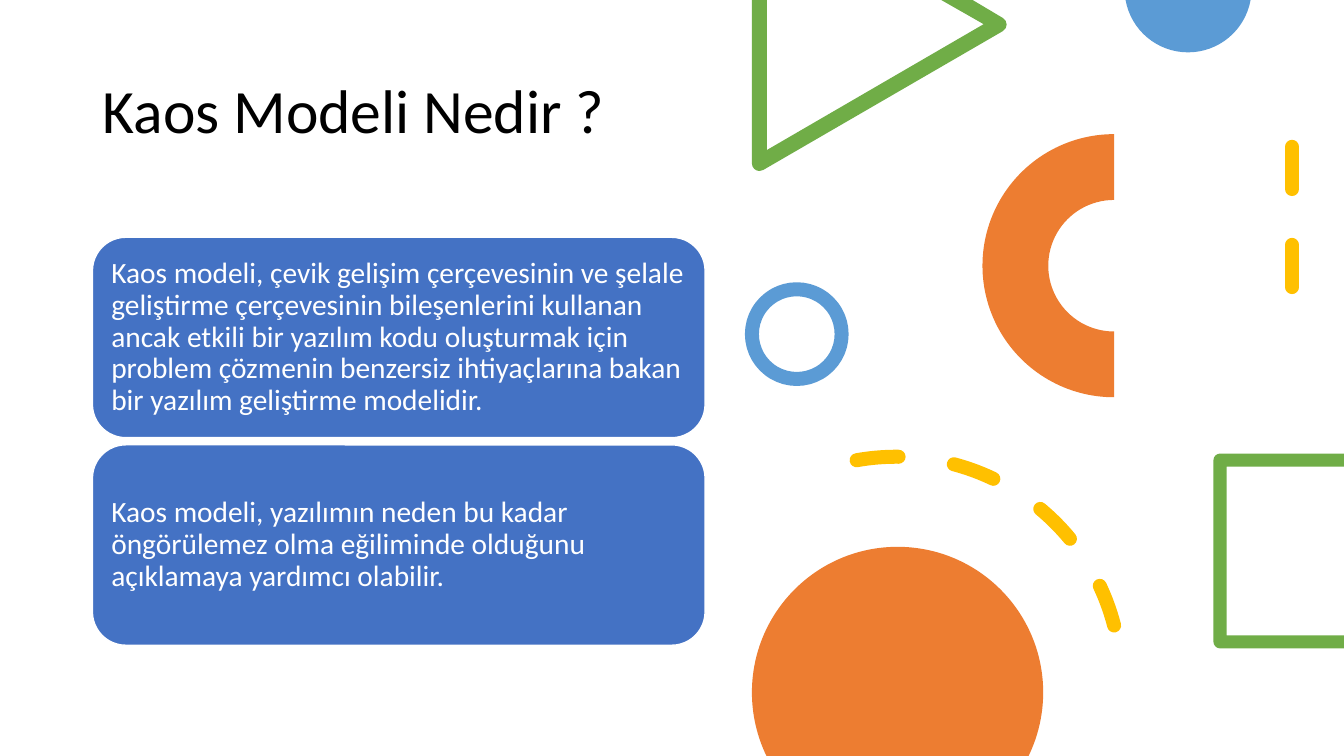
from dataclasses import dataclass
from itertools import pairwise
from math import asin, cos, degrees, radians, sin, tan

from lxml.etree import SubElement
from pptx import Presentation
from pptx.dml.color import RGBColor
from pptx.enum.dml import MSO_LINE
from pptx.enum.shapes import MSO_CONNECTOR, MSO_SHAPE
from pptx.enum.text import MSO_ANCHOR, MSO_AUTO_SIZE, PP_ALIGN
from pptx.oxml.ns import qn
from pptx.util import Cm, Pt

TITLE = "Kaos Modeli Nedir ?"
STATEMENTS = [
    "Kaos modeli, çevik gelişim çerçevesinin ve şelale geliştirme çerçevesinin "
    "bileşenlerini kullanan ancak etkili bir yazılım kodu oluşturmak için problem "
    "çözmenin benzersiz ihtiyaçlarına bakan bir yazılım geliştirme modelidir.",
    "Kaos modeli, yazılımın neden bu kadar öngörülemez olma eğiliminde olduğunu "
    "açıklamaya yardımcı olabilir.",
]


@dataclass(frozen=True)
class Theme:
    font: str = "Calibri"
    title_size: int = 44
    body_size: int = 21
    stroke: int = 10
    black: str = "000000"
    white: str = "FFFFFF"
    card: str = "4472C4"
    blue: str = "5B9BD5"
    orange: str = "ED7D31"
    green: str = "70AD47"
    yellow: str = "FFC000"


THEME = Theme()

# All layout lengths are in centimetres.
SLIDE_W, SLIDE_H = 33.87, 19.05
COLUMN_X, COLUMN_W = 2.33, 15.44
TITLE_Y, TITLE_H = 1.02, 3.68
CARD_Y, CARD_H, CARD_GAP = 5.98, 5.05, 0.18
INSET = 0.23


def color(code):
    return RGBColor.from_string(code)


def write(frame, text, size, ink):
    frame.word_wrap = True
    frame.auto_size = MSO_AUTO_SIZE.NONE
    frame.vertical_anchor = MSO_ANCHOR.MIDDLE
    paragraph = frame.paragraphs[0]
    paragraph.alignment = PP_ALIGN.LEFT
    paragraph.line_spacing = 0.9
    run = paragraph.add_run()
    run.text = text
    run.font.name = THEME.font
    run.font.size = Pt(size)
    run.font.color.rgb = color(ink)


def paint(shape, fill=None, line=None, width=THEME.stroke):
    shape.shadow.inherit = False
    if fill:
        shape.fill.solid()
        shape.fill.fore_color.rgb = color(fill)
    else:
        shape.fill.background()
    if line:
        shape.line.color.rgb = color(line)
        shape.line.width = Pt(width)
    else:
        shape.line.fill.background()


def add_preset(slide, kind, x, y, w, h):
    return slide.shapes.add_shape(kind, Cm(x), Cm(y), Cm(w), Cm(h))


def make_dashed(shape):
    """Give the line dashes with round ends."""
    shape.line.dash_style = MSO_LINE.DASH
    shape._element.spPr.find(qn("a:ln")).set("cap", "rnd")


def lines(*points):
    return [(point,) for point in points]


def arc(center, radius, *angles):
    """A line to the first angle, then one Bézier curve to each next one (degrees)."""
    def at(angle, pull=0):
        c, s = cos(radians(angle)), sin(radians(angle))
        return center[0] + radius * (c - pull * s), center[1] + radius * (s + pull * c)

    segments = lines(at(angles[0]))
    for start, end in pairwise(angles):
        pull = 4 / 3 * tan(radians(end - start) / 4)
        segments.append((at(start, pull), at(end, -pull), at(end)))
    return segments


def add_outline(slide, segments, fill):
    """Draw segments of one point as lines and of three points as Bézier curves."""
    points = [(Cm(x), Cm(y)) for segment in segments for x, y in segment]
    builder = slide.shapes.build_freeform(*points[0])
    builder.add_line_segments(points[1:], close=True)
    shape = builder.convert_to_shape()
    steps = iter(list(shape._element.iter(qn("a:lnTo"))))
    for segment in segments[1:]:
        first, *others = [next(steps) for _ in segment]
        if others:
            curve = first.makeelement(qn("a:cubicBezTo"))
            first.addprevious(curve)
            for step in (first, *others):
                curve.append(step[0])
                step.getparent().remove(step)
    paint(shape, fill)


def add_cards(slide):
    for index, statement in enumerate(STATEMENTS):
        y = CARD_Y + index * (CARD_H + CARD_GAP)
        card = add_preset(slide, MSO_SHAPE.ROUNDED_RECTANGLE, COLUMN_X, y, COLUMN_W, CARD_H)
        paint(card, THEME.card, THEME.white, 1)
        frame = card.text_frame
        frame.margin_left = frame.margin_right = Cm(INSET)
        frame.margin_top = frame.margin_bottom = Cm(INSET)
        write(frame, statement, THEME.body_size, THEME.white)


def add_top_circle(slide):
    radius, rise = 1.6, 0.28
    cut = degrees(asin(rise / radius))
    add_outline(slide, arc((29.94, -rise), radius, cut, 90, 180 - cut), THEME.blue)


def add_bottom_circle(slide):
    radius, center_y = 3.67, 17.45
    cut = degrees(asin((SLIDE_H - center_y) / radius))
    circle = arc((22.62, center_y), radius, 180 - cut, 180, 270, 360, 360 + cut)
    add_outline(slide, circle, THEME.orange)


def add_triangle(slide):
    triangle = lines((18.95, 0), (19.33, 0), (19.33, 3.78),
                     (24.79, 0.61), (23.72, 0), (24.51, 0))
    triangle += arc((25.18, 0.62), 0.19, -60, 0, 60)
    triangle += arc((19.14, 4.12), 0.19, 60, 90, 180)
    add_outline(slide, triangle, THEME.green)


def add_square(slide):
    top, bottom, inner_x, band, radius = 11.43, 16.34, 30.91, 0.33, 0.17
    square = lines((SLIDE_W, top), (SLIDE_W, top + band), (inner_x, top + band),
                   (inner_x, bottom - band), (SLIDE_W, bottom - band), (SLIDE_W, bottom))
    square += arc((30.75, bottom - radius), radius, 90, 180)
    square += arc((30.75, top + radius), radius, 180, 270)
    add_outline(slide, square, THEME.green)


def add_ring(slide):
    ring = add_preset(slide, MSO_SHAPE.OVAL, 18.95, 7.29, 2.26, 2.26)
    paint(ring, line=THEME.blue)


def add_half_ring(slide):
    half_ring = add_preset(slide, MSO_SHAPE.BLOCK_ARC, 24.76, 3.38, 6.63, 6.63)
    half_ring.rotation = 270
    paint(half_ring, THEME.orange)


def add_dashed_stripe(slide):
    x = Cm(32.56)
    stripe = slide.shapes.add_connector(MSO_CONNECTOR.STRAIGHT, x, Cm(3.7), x, Cm(8.12))
    stripe.line.color.rgb = color(THEME.yellow)
    stripe.line.width = Pt(THEME.stroke)
    make_dashed(stripe)
    SubElement(stripe._element.spPr, qn("a:effectLst"))


def add_dashed_bow(slide):
    bow = add_preset(slide, MSO_SHAPE.ARC, 16.91, 11.51, 11.35, 11.35)
    bow.rotation = 349.9
    paint(bow, line=THEME.yellow)
    make_dashed(bow)


def main():
    deck = Presentation()
    deck.slide_width, deck.slide_height = Cm(SLIDE_W), Cm(SLIDE_H)
    slide = deck.slides.add_slide(deck.slide_layouts[5])

    title = slide.shapes.title
    title.left, title.top = Cm(COLUMN_X), Cm(TITLE_Y)
    title.width, title.height = Cm(COLUMN_W), Cm(TITLE_H)
    write(title.text_frame, TITLE, THEME.title_size, THEME.black)

    for add_part in (add_top_circle, add_cards, add_ring, add_half_ring, add_triangle,
                     add_dashed_stripe, add_square, add_dashed_bow, add_bottom_circle):
        add_part(slide)
    deck.save("out.pptx")


if __name__ == "__main__":
    main()
